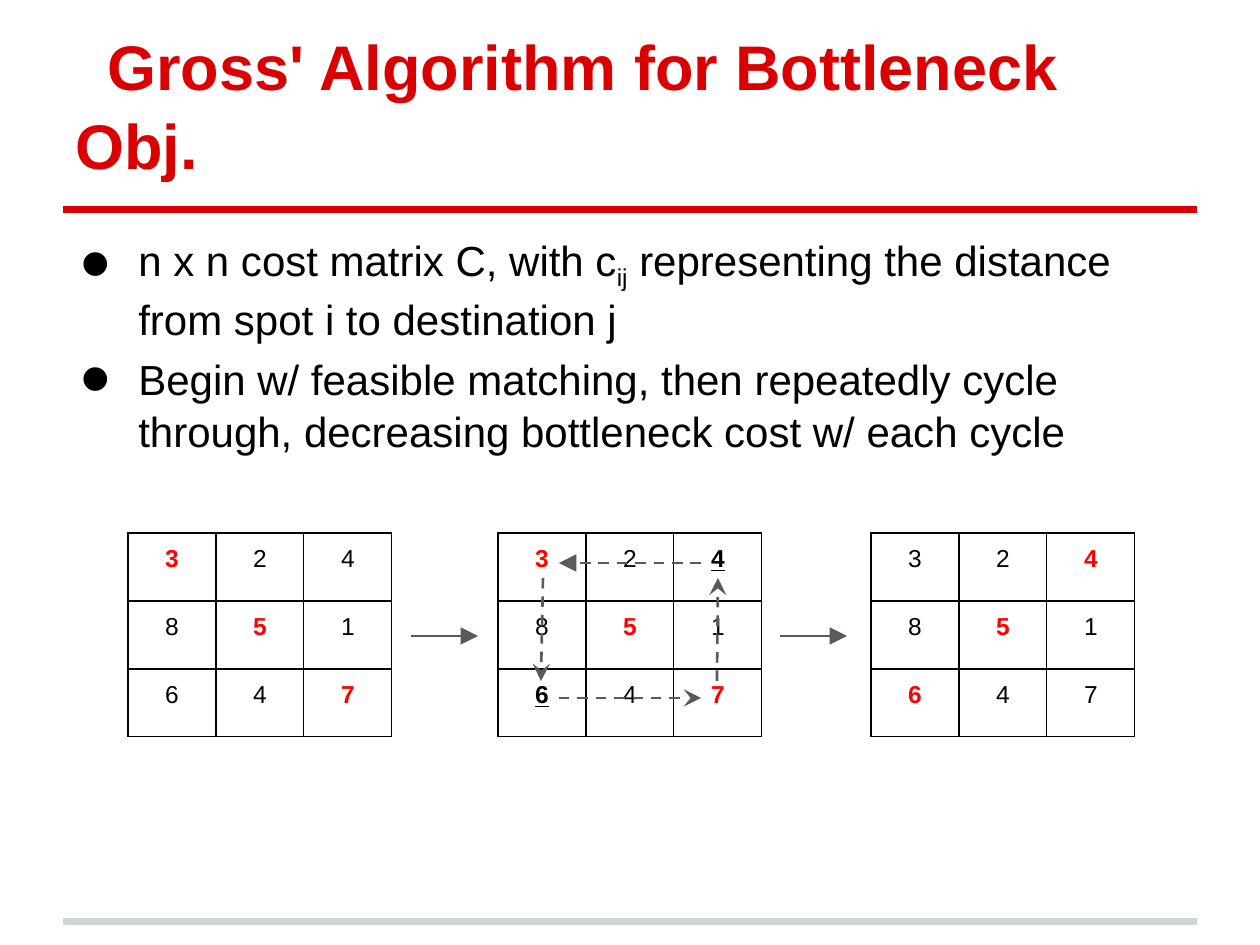
import pptx
import pptx.util
import pptx.dml.color
import pptx.enum.dml
import pptx.enum.shapes
import pptx.enum.text
import pptx.oxml
import pptx.oxml.ns
from lxml import etree

PX = 914400 / 126
COLORS = {"red": "DA0002", "match": "FF0000", "text": "000000",
          "footer": "CFD4D4", "arrow": "5B595A"}
NS = pptx.oxml.ns.nsdecls("a")
qn = pptx.oxml.ns.qn


def emu(*pixels):
    return [round(pixel * PX) for pixel in pixels]


def add_line(start, end, color, width):
    line = slide.shapes.add_connector(
        pptx.enum.shapes.MSO_CONNECTOR.STRAIGHT, *emu(*start, *end))
    line.line.color.rgb = pptx.dml.color.RGBColor.from_string(COLORS[color])
    line.line.width = pptx.util.Pt(width)
    etree.SubElement(line._element.spPr, qn("a:effectLst"))
    return line


deck = pptx.Presentation()
deck.slide_width, deck.slide_height = emu(1260, 945)
slide = deck.slides.add_slide(deck.slide_layouts[6])

add_line((63, 922), (1197, 922), "footer", 4)
add_line((63, 210), (1197, 210), "red", 4)

title = slide.shapes.add_textbox(*emu(63, 38, 1134, 157)).text_frame
title.vertical_anchor = pptx.enum.text.MSO_ANCHOR.BOTTOM
title.text = "Gross' Algorithm for Bottleneck Obj."
heading = title.paragraphs[0]
heading.line_spacing = 1.05
heading.font.size = pptx.util.Pt(36)
heading.font.bold = True
heading.font.name = "Arial"
heading.font.color.rgb = pptx.dml.color.RGBColor.from_string(COLORS["red"])
heading._p.get_or_add_pPr().set("indent", str(emu(32)[0]))

body = slide.shapes.add_textbox(*emu(63, 220, 1134, 684)).text_frame
points = [
    [("n x n cost matrix C, with c", False), ("ij", True),
     (" representing the distance from spot i to destination j", False)],
    [("Begin w/ feasible matching, then repeatedly cycle through, "
      "decreasing bottleneck cost w/ each cycle", False)],
]
for index, pieces in enumerate(points):
    point = body.add_paragraph() if index else body.paragraphs[0]
    point.space_before = pptx.util.Pt(4.8)
    point.line_spacing = 1.03
    point.font.size = pptx.util.Pt(24)
    point.font.name = "Arial"
    point.font.color.rgb = pptx.dml.color.RGBColor.from_string(COLORS["text"])
    for words, subscript in pieces:
        run = point.add_run()
        run.text = words
        if subscript:
            run.font._element.set("baseline", "-25000")
    margin, indent = emu(63, -58)
    properties = point._p.get_or_add_pPr()
    properties.set("marL", str(margin))
    properties.set("indent", str(indent))
    bullet = [f'<a:buClr {NS}><a:srgbClr val="{COLORS["text"]}"/></a:buClr>',
              f'<a:buSzPct {NS} val="208000"/>',
              f'<a:buFont {NS} typeface="Arial"/>',
              f'<a:buChar {NS} char="&#8226;"/>']
    default_font = properties.find(qn("a:defRPr"))
    for part in bullet:
        default_font.addprevious(pptx.oxml.parse_xml(part))

for frame in (title, body):
    frame.word_wrap = True
    frame.margin_left = frame.margin_right = emu(12.6)[0]
    frame.margin_top = frame.margin_bottom = emu(12.6)[0]

costs = [[3, 2, 4], [8, 5, 1], [6, 4, 7]]
diagonal = {(0, 0), (1, 1), (2, 2)}
matrices = [
    (128, diagonal, set()),
    (871, {(0, 2), (1, 1), (2, 0)}, set()),
    (498, diagonal, {(0, 2), (2, 0)}),
]
for left, matched, entering in matrices:
    matrix = slide.shapes.add_table(3, 3, *emu(left, 533, 264, 204)).table
    matrix.first_row = matrix.horz_banding = False
    for row, values in enumerate(costs):
        for column, value in enumerate(values):
            spot = (row, column)
            cell = matrix.cell(row, column)
            cell.text = str(value)
            cell.margin_left = cell.margin_right = emu(12.6)[0]
            cell.margin_top = cell.margin_bottom = emu(12.6)[0]
            cost = cell.text_frame.paragraphs[0]
            cost.alignment = pptx.enum.text.PP_ALIGN.CENTER
            cost.font.size = pptx.util.Pt(14)
            cost.font.name = "Arial"
            cost.font.bold = spot in matched | entering
            cost.font.underline = spot in entering
            cost.font.color.rgb = pptx.dml.color.RGBColor.from_string(
                COLORS["match" if spot in matched else "text"])
            for side in ("lnL", "lnR", "lnT", "lnB"):
                cell._tc.get_or_add_tcPr().append(pptx.oxml.parse_xml(
                    f'<a:{side} {NS} w="9525"><a:solidFill><a:srgbClr '
                    f'val="{COLORS["text"]}"/></a:solidFill></a:{side}>'))
            cell.fill.background()

arrows = [
    ((411, 636), (478, 636), "triangle", False),
    ((780, 636), (847, 636), "triangle", False),
    ((717, 681), (718, 578), "stealth", True),
    ((701, 563), (559, 563), "triangle", True),
    ((543, 578), (541, 681), "stealth", True),
    ((559, 698), (701, 698), "stealth", True),
]
for start, end, head, dashed in arrows:
    arrow = add_line(start, end, "arrow", 1.5)
    if dashed:
        arrow.line.dash_style = pptx.enum.dml.MSO_LINE.DASH
    tip = etree.SubElement(arrow.line._get_or_add_ln(), qn("a:tailEnd"))
    tip.set("type", head)
    tip.set("w", "lg")
    tip.set("len", "lg")

deck.save("out.pptx")
